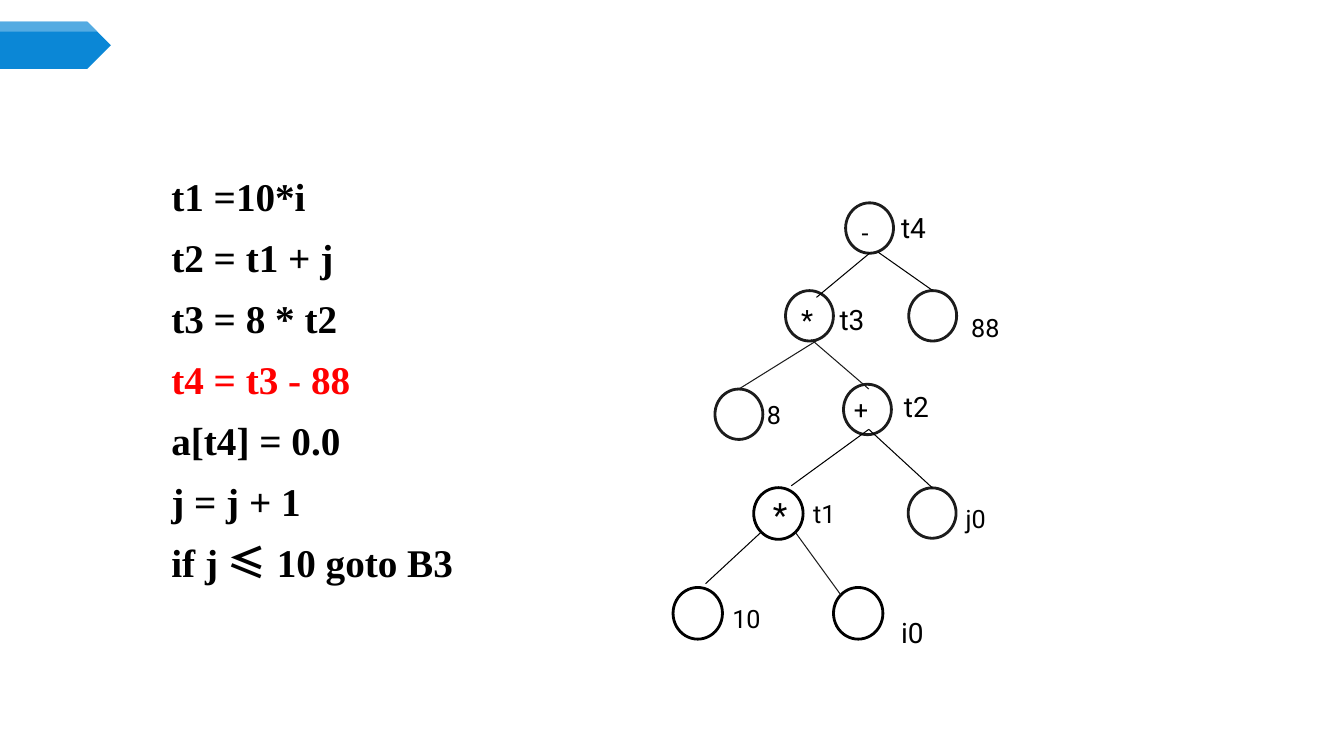
from lxml import etree
from pptx import Presentation
from pptx.dml.color import RGBColor
from pptx.enum.shapes import MSO_CONNECTOR as CONN, MSO_SHAPE as SHAPE
from pptx.enum.text import MSO_ANCHOR as ANCHOR, MSO_AUTO_SIZE as AUTO
from pptx.oxml.ns import qn
from pptx.util import Pt

BLACK = RGBColor(0x00, 0x00, 0x00)
INK = RGBColor(0x1C, 0x1C, 0x1C)
RED = RGBColor(0xFF, 0x00, 0x00)
BLUE = RGBColor(0x0B, 0x87, 0xD6)
LIGHT_BLUE = RGBColor(0x54, 0xAB, 0xE2)
WHITE = RGBColor(0xFF, 0xFF, 0xFF)
SERIF, SANS, CJK = "Times New Roman", "Roboto", "Noto Sans CJK SC"

# Code lines: runs of (text, font, colour)
CODE = [
    [("t1 =10*i", SERIF, BLACK)],
    [("t2 = t1 + j", SERIF, BLACK)],
    [("t3 = 8 * t2", SERIF, BLACK)],
    [("t4 = t3 - 88", SERIF, RED)],
    [("a[t4] = 0.0", SERIF, BLACK)],
    [("j = j + 1", SERIF, BLACK)],
    [("if j ", SERIF, BLACK), ("≤", CJK, BLACK), (" 10 goto B3", SERIF, BLACK)],
]

# Tree nodes: centre x, centre y, outline
NODES = [
    (621.1, 162.9, INK),
    (578.2, 225.6, INK),
    (666.2, 225.6, INK),
    (527.8, 295.9, INK),
    (619.6, 292.5, INK),
    (556, 366.8, BLACK),
    (665.8, 366.5, INK),
    (498.4, 438.1, BLACK),
    (613, 438.1, BLACK),
]
NODE_SIZE = {INK: (34.2, 36), BLACK: (35.3, 36.9)}

# Branches: from x, y, to x, y, colour
BRANCHES = [
    (621.4, 180.7, 583.2, 212.4, BLACK),
    (627.1, 180, 666, 207.4, BLACK),
    (583.2, 243.4, 527.8, 277.9, INK),
    (579.6, 242.6, 620.6, 277.9, INK),
    (620.6, 306.7, 565.2, 347, BLACK),
    (620.6, 306.7, 666, 348.5, BLACK),
    (543.6, 380.2, 504, 416.9, BLACK),
    (568.1, 380.2, 600.5, 424.8, INK),
]

# Operators and labels: text, left, top, width, font size
LABELS = [
    ("-", 608.4, 151.9, 27.4, 18),
    ("t4", 636.5, 146.9, 32.4, 20),
    ("*", 565.2, 212.4, 36, 20),
    ("t3", 592.6, 212.4, 38.2, 20),
    ("88", 686.6, 219.6, 48.2, 18),
    ("8", 540.7, 281.5, 33.1, 18),
    ("+", 602.8, 277.9, 35.3, 18),
    ("t2", 638.6, 274.3, 33.8, 20),
    ("*", 545, 349.2, 21.6, 24),
    ("t1", 573.8, 352.4, 62.6, 18),
    ("j0", 682.6, 356, 46.8, 18),
    ("10", 516, 427.7, 36.7, 18),
    ("i0", 636.5, 436.3, 58.3, 20),
]

prs = Presentation()
prs.slide_width, prs.slide_height = Pt(960), Pt(540)
s = prs.slides.add_slide(prs.slide_layouts[1])
title = s.shapes.title
title.element.getparent().remove(title.element)


def fill_shape(sp, fill):
    sp.shadow.inherit = False
    sp.fill.solid()
    sp.fill.fore_color.rgb = fill
    sp.line.fill.background()


def add_shape(kind, left, top, width, height, fill):
    sp = s.shapes.add_shape(kind, Pt(left), Pt(top), Pt(width), Pt(height))
    fill_shape(sp, fill)
    return sp


def add_run(p, text, **font):
    r = p.add_run()
    r.text = text
    r.font.color.rgb = font.pop("color")
    for name, value in font.items():
        setattr(r.font, name, value)


# Banner with a light band along its top
add_shape(SHAPE.PENTAGON, 0, 15.4, 79.2, 33.8, BLUE)
band = s.shapes.build_freeform(Pt(0), Pt(15.6), scale=1.0)
band.add_line_segments([(Pt(x), Pt(y)) for x, y in [(62.5, 15.6), (69.6, 22.7), (0, 22.7)]])
fill_shape(band.convert_to_shape(), LIGHT_BLUE)

# Code
body = s.placeholders[1]
body.left, body.top, body.width, body.height = Pt(43.2), Pt(115.2), Pt(646.6), Pt(384.5)
tf = body.text_frame
for name, value in dict(word_wrap=True, auto_size=AUTO.NONE, vertical_anchor=ANCHOR.TOP).items():
    setattr(tf, name, value)
for i, runs in enumerate(CODE):
    p = tf.add_paragraph() if i else tf.paragraphs[0]
    pPr = p._p.get_or_add_pPr()
    pPr.set("marL", str(Pt(72)))
    pPr.set("indent", "0")
    etree.SubElement(pPr, qn("a:buNone"))
    p.line_spacing = Pt(38)
    p.space_before = Pt(5.5 if i else 0)
    for text, font, ink in runs:
        add_run(p, text, name=font, size=Pt(28), bold=True, color=ink)

# Tree nodes
for cx, cy, ink in NODES:
    w, h = NODE_SIZE[ink]
    sp = add_shape(SHAPE.OVAL, cx - w / 2, cy - h / 2, w, h, WHITE)
    sp.line.color.rgb = ink
    sp.line.width = Pt(2)

# Branches
for *ends, ink in BRANCHES:
    line = s.shapes.add_connector(CONN.STRAIGHT, *map(Pt, ends))
    line.line.color.rgb = ink
    line.line.width = Pt(0.75)
    etree.SubElement(line.element.spPr, qn("a:effectLst"))

# Operators and labels
for text, left, top, width, size in LABELS:
    box = s.shapes.add_textbox(Pt(left), Pt(top), Pt(width), Pt(size * 1.2 + 7.2))
    box.text_frame.word_wrap = True
    add_run(box.text_frame.paragraphs[0], text, name=SANS, size=Pt(size), color=BLACK)

prs.save("out.pptx")
